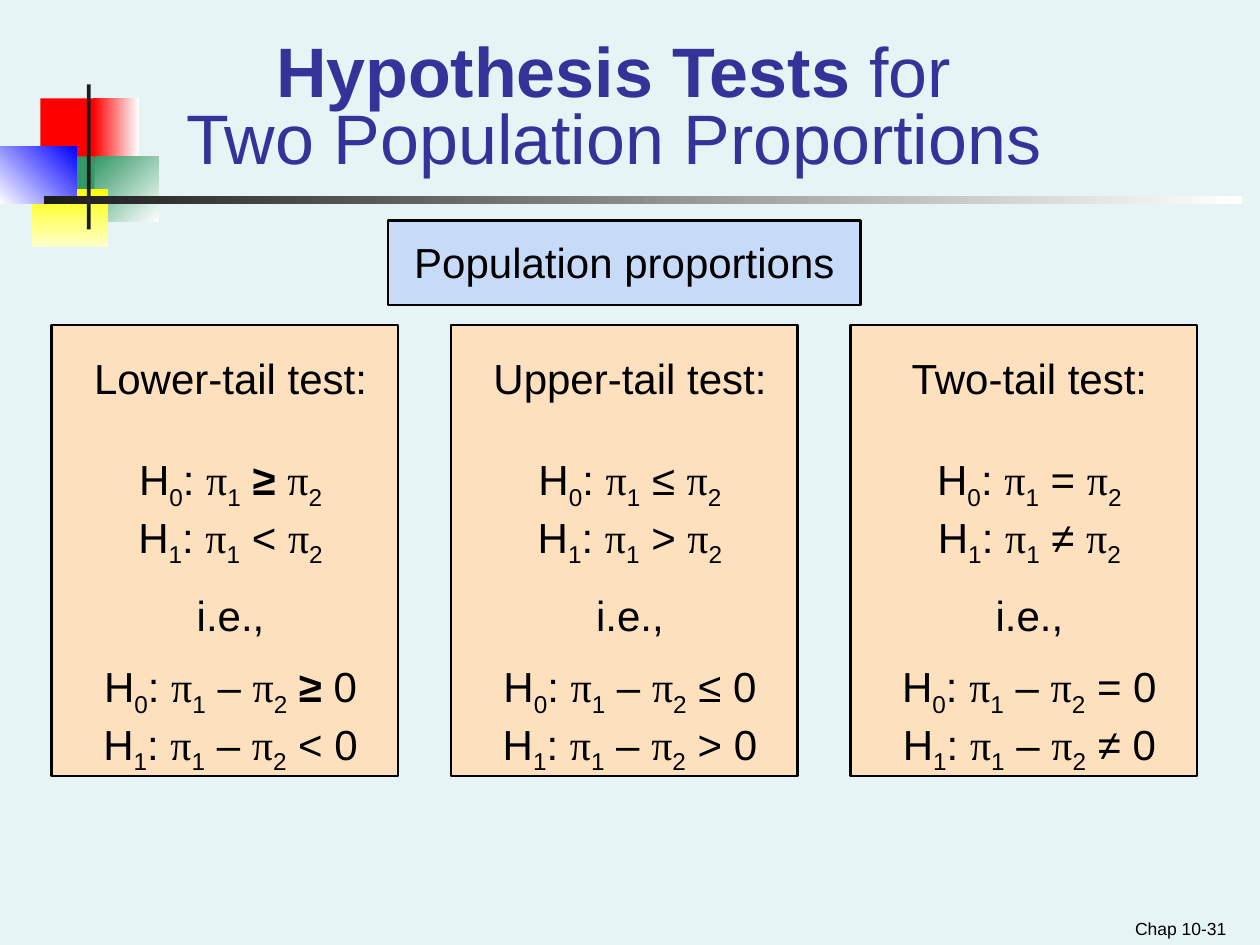
from itertools import groupby

from pptx import Presentation
from pptx.dml.color import RGBColor
from pptx.enum.shapes import MSO_SHAPE
from pptx.enum.text import MSO_ANCHOR, PP_ALIGN
from pptx.util import Inches, Pt

RECTANGLE = MSO_SHAPE.RECTANGLE
TOP, BOTTOM = MSO_ANCHOR.TOP, MSO_ANCHOR.BOTTOM
CENTER, RIGHT = PP_ALIGN.CENTER, PP_ALIGN.RIGHT

BACKGROUND = RGBColor(0xE7, 0xF4, 0xF5)
BLACK = RGBColor(0x00, 0x00, 0x00)
CHARCOAL = RGBColor(0x1C, 0x1C, 0x1C)
WHITE = RGBColor(0xFF, 0xFF, 0xFF)
RED = RGBColor(0xFF, 0x00, 0x00)
GREEN = RGBColor(0x33, 0x99, 0x66)
BLUE = RGBColor(0x00, 0x00, 0xFF)
YELLOW = RGBColor(0xFF, 0xFF, 0x00)
PALE_YELLOW = RGBColor(0xFF, 0xFF, 0xCC)
TITLE_BLUE = RGBColor(0x33, 0x33, 0x99)
PEACH = RGBColor(0xFD, 0xE0, 0xBD)
LIGHT_BLUE = RGBColor(0xC7, 0xDA, 0xF7)

SUBSCRIPTS = {"₀": "0", "₁": "1", "₂": "2"}

CARD_LEFT, CARD_STEP = 0.41, 3.17
TESTS = [
    ("Lower-tail test:", "≥", "<"),
    ("Upper-tail test:", "≤", ">"),
    ("Two-tail test:", "=", "≠"),
]


def character_style(character):
    return character in SUBSCRIPTS, character == "π", character == "≥"


class SlideBuilder:
    font_name = "Arial"
    symbol_font = "Times New Roman"
    body_size = 24

    def __init__(self, presentation):
        self.slide = presentation.slides.add_slide(presentation.slide_layouts[6])
        self.slide.background.fill.solid()
        self.slide.background.fill.fore_color.rgb = BACKGROUND

    def rectangle(self, box, colors, angle=0, outlined=False):
        shape = self.slide.shapes.add_shape(RECTANGLE, *map(Inches, box))
        shape.shadow.inherit = False
        if len(colors) == 1:
            shape.fill.solid()
            shape.fill.fore_color.rgb = colors[0]
        else:
            shape.fill.gradient()
            shape.fill.gradient_angle = angle
            for stop, color in zip(shape.fill.gradient_stops, colors):
                stop.color.rgb = color
        if outlined:
            shape.line.color.rgb = BLACK
            shape.line.width = Pt(1.5)
        else:
            shape.line.fill.background()

    def text_box(self, box, anchor=TOP):
        text_frame = self.slide.shapes.add_textbox(*map(Inches, box)).text_frame
        text_frame.word_wrap = True
        text_frame.vertical_anchor = anchor
        return text_frame

    def format_paragraph(self, paragraph, size=body_size, color=BLACK, align=CENTER):
        paragraph.alignment = align
        paragraph.font.size = Pt(size)
        for run in paragraph.runs:
            run.font.size = Pt(size)
            run.font.color.rgb = color
            run.font.name = run.font.name or self.font_name

    def label(self, box, text, size=body_size, align=CENTER, anchor=TOP):
        text_frame = self.text_box(box, anchor)
        text_frame.text = text
        self.format_paragraph(text_frame.paragraphs[0], size, align=align)

    def title(self, box, strong_text, first_line, second_line):
        paragraph = self.text_box(box, BOTTOM).paragraphs[0]
        paragraph.line_spacing = 0.8
        paragraph.text = f"{strong_text}\v{second_line}"
        paragraph.runs[0].font.bold = True
        paragraph.text = ""
        strong_run = paragraph.add_run()
        strong_run.text = strong_text
        strong_run.font.bold = True
        paragraph.add_run().text = first_line
        paragraph.add_line_break()
        paragraph.add_run().text = second_line
        self.format_paragraph(paragraph, 40, TITLE_BLUE)

    def formula(self, paragraph, text):
        for style, characters in groupby(text, character_style):
            is_subscript, is_symbol, is_bold = style
            run = paragraph.add_run()
            run.text = "".join(SUBSCRIPTS.get(c, c) for c in characters)
            if is_subscript:
                run.font._element.set("baseline", "-25000")
            if is_symbol:
                run.font.name = self.symbol_font
            if is_bold:
                run.font.bold = True

    def test_card(self, left, heading, null_sign, alternative_sign):
        self.rectangle((left, 2.58, 2.75, 3.58), [PEACH], outlined=True)
        text_frame = self.text_box((left - 0.08, 2.75, 3, 3.46))
        lines = [
            (heading, 0),
            (f"H₀: π₁ {null_sign} π₂", 29),
            (f"H₁: π₁ {alternative_sign} π₂", 0),
            ("i.e.,", 12),
            (f"H₀: π₁ – π₂ {null_sign} 0", 12),
            (f"H₁: π₁ – π₂ {alternative_sign} 0", 0),
        ]
        for index, (text, space_before) in enumerate(lines):
            paragraph = text_frame.add_paragraph() if index else text_frame.paragraphs[0]
            paragraph.space_before = Pt(space_before)
            self.formula(paragraph, text)
            self.format_paragraph(paragraph)


def main():
    presentation = Presentation()
    presentation.slide_width = Inches(10)
    presentation.slide_height = Inches(7.5)
    builder = SlideBuilder(presentation)

    builder.rectangle((0.32, 0.78, 0.48, 0.52), [RED])
    builder.rectangle((0.74, 0.78, 0.36, 0.52), [RED, WHITE])
    builder.rectangle((0.75, 1.24, 0.51, 0.52), [GREEN, WHITE], 315)
    builder.rectangle((0.43, 1.24, 0.32, 0.52), [GREEN])
    builder.rectangle((0.25, 1.5, 0.61, 0.46), [YELLOW, PALE_YELLOW], 270)
    builder.rectangle((0, 1.16, 0.61, 0.46), [WHITE, BLUE], 45)
    builder.rectangle((0.69, 0.67, 0.03, 1.15), [CHARCOAL])
    builder.rectangle((0.35, 1.56, 9.51, 0.06), [CHARCOAL, WHITE])

    builder.label((7.5, 7.15, 2.33, 0.35), "Chap 10-31", 10, RIGHT, BOTTOM)
    builder.title((0.83, 0.38, 8.08, 1.08), "Hypothesis Tests ", "for",
                  "Two Population Proportions")
    builder.rectangle((3.08, 1.75, 3.75, 0.67), [LIGHT_BLUE], outlined=True)
    builder.label((3.08, 1.83, 3.75, 0.5), "Population proportions")
    for column, test in enumerate(TESTS):
        builder.test_card(CARD_LEFT + column * CARD_STEP, *test)

    presentation.save("out.pptx")


if __name__ == "__main__":
    main()
